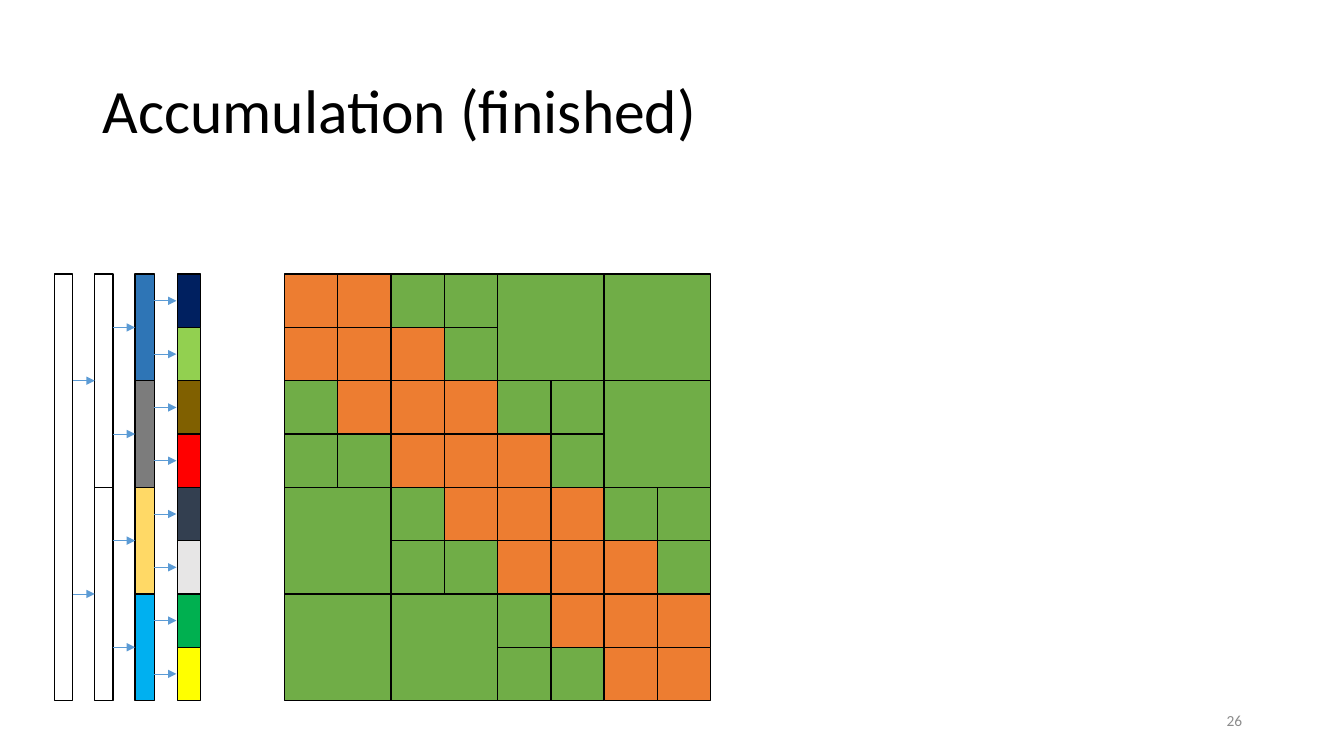
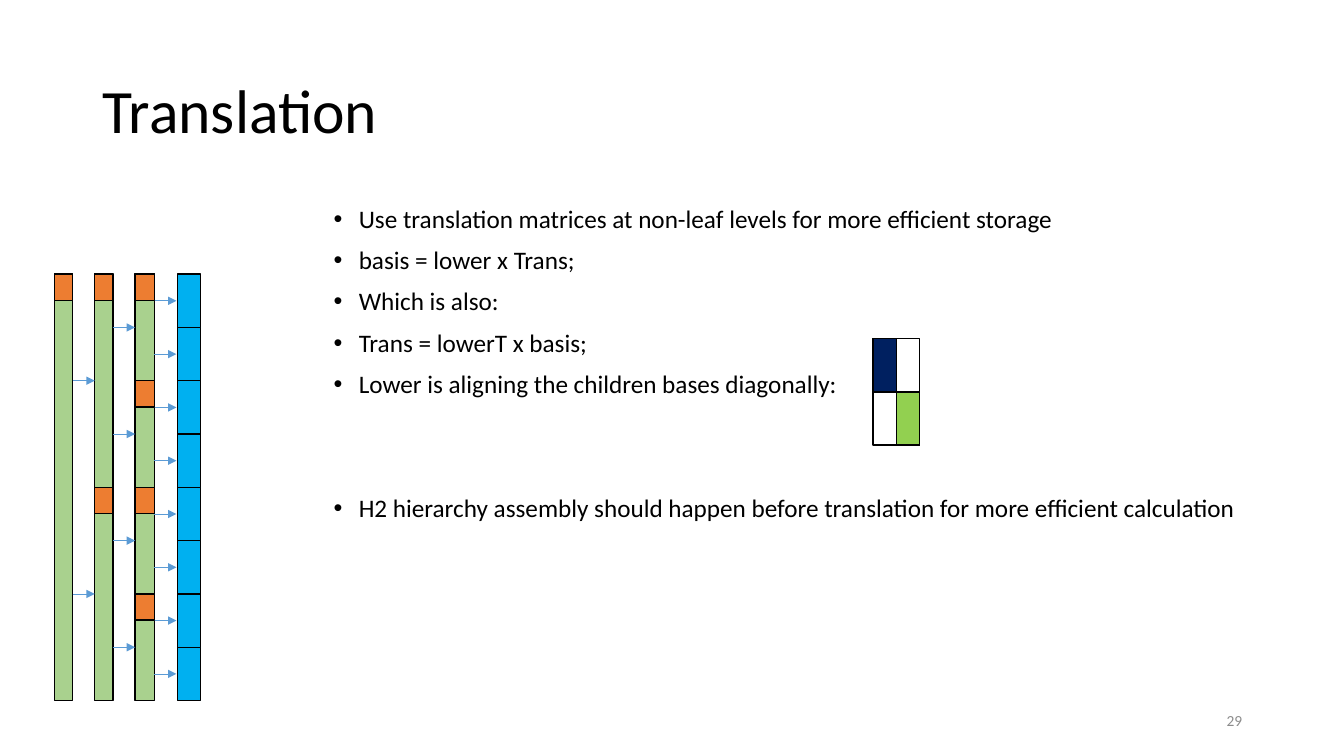
import dataclasses

import lxml.etree
import pptx
import pptx.dml.color
import pptx.enum.shapes
import pptx.enum.text
import pptx.oxml.ns
import pptx.util

Inches = pptx.util.Inches
Pt = pptx.util.Pt
qn = pptx.oxml.ns.qn
ALIGN = pptx.enum.text.PP_ALIGN
ANCHOR = pptx.enum.text.MSO_ANCHOR


@dataclasses.dataclass(frozen=True)
class Theme:
    """Colours and type sizes of the deck."""
    font: str = "Calibri"
    ink: str = "000000"
    muted: str = "8C8C8C"
    white: str = "FFFFFF"
    near: str = "ED7D31"
    far: str = "70AD47"
    basis: str = "A9D18E"
    leaf: str = "00B0F0"
    navy: str = "002060"
    lime: str = "92D050"
    arrow: str = "5B9BD5"
    title: int = 44
    body: int = 18
    foot: int = 11
    edge: float = 1
    thin: float = 0.5


THEME = Theme()

# Both the tree and the matrix span eight leaves of equal height.
TOP, SPAN, LEAVES = 2.72, 4.23, 8
CELL = SPAN / LEAVES
GRID_LEFT = 2.82
COLUMNS = [(0.54, 0.18), (0.94, 0.18), (1.34, 0.19), (1.76, 0.23)]
REACH = 0.22
CAP = 0.26

SPECTRUM = [
    [THEME.white],
    [THEME.white] * 2,
    ["2E75B6", "7C7C7C", "FFD966", THEME.leaf],
    [THEME.navy, THEME.lime, "806000", "FF0000",
     "333F50", "E7E6E6", "00B050", "FFFF00"],
]
SHARED = [[THEME.basis] * 2 ** level for level in range(3)]
SHARED.append([THEME.leaf] * LEAVES)

# Each bullet has its space before, in points; the last is set apart.
BULLETS = [
    ("Use translation matrices at non-leaf levels for more efficient storage", 10),
    ("basis = lower x Trans;", 10),
    ("Which is also:", 10),
    ("Trans = lowerT x basis;", 10),
    ("Lower is aligning the children bases diagonally:", 10),
    ("H2 hierarchy assembly should happen before translation"
     " for more efficient calculation", 69),
]


def rgb(code):
    """Turn a hex code into a colour."""
    return pptx.dml.color.RGBColor.from_string(code)


def frame(slide, left, top, width, height, anchor):
    """Add a wrapping text box and return its text frame."""
    box = slide.shapes.add_textbox(
        Inches(left), Inches(top), Inches(width), Inches(height))
    text = box.text_frame
    text.word_wrap = True
    text.vertical_anchor = anchor
    return text


def write(para, words, size, color=THEME.ink):
    """Add one styled run to a paragraph."""
    run = para.add_run()
    run.text = words
    run.font.name = THEME.font
    run.font.size = Pt(size)
    run.font.color.rgb = rgb(color)


def start(deck, title, number):
    """Add a slide with its title and page number."""
    slide = deck.slides.add_slide(deck.slide_layouts[6])
    head = frame(slide, 0.92, 0.4, 11.5, 1.45, ANCHOR.MIDDLE).paragraphs[0]
    head.line_spacing = 0.9
    write(head, title, THEME.title)
    foot = frame(slide, 9.42, 6.95, 3, 0.4, ANCHOR.MIDDLE).paragraphs[0]
    foot.alignment = ALIGN.RIGHT
    write(foot, number, THEME.foot, THEME.muted)
    return slide


def block(slide, left, top, width, height, fill=None):
    """Add an outlined rectangle, open if it has no fill."""
    shape = slide.shapes.add_shape(
        pptx.enum.shapes.MSO_SHAPE.RECTANGLE,
        Inches(left), Inches(top), Inches(width), Inches(height))
    shape.shadow.inherit = False
    if fill:
        shape.fill.solid()
        shape.fill.fore_color.rgb = rgb(fill)
    else:
        shape.fill.background()
    shape.line.color.rgb = rgb(THEME.ink)
    shape.line.width = Pt(THEME.edge)


def arrow(slide, left, top):
    """Add a short arrow that points right."""
    line = slide.shapes.add_connector(
        pptx.enum.shapes.MSO_CONNECTOR.STRAIGHT,
        Inches(left), Inches(top), Inches(left + REACH), Inches(top))
    line.line.color.rgb = rgb(THEME.arrow)
    line.line.width = Pt(THEME.thin)
    tail = lxml.etree.SubElement(line.line._get_or_add_ln(), qn("a:tailEnd"))
    tail.set("type", "triangle")
    lxml.etree.SubElement(line._element.spPr, qn("a:effectLst"))


def tree(slide, levels):
    """Draw the basis tree, one column a level, with arrows to each child."""
    for level, ((left, width), fills) in enumerate(zip(COLUMNS, levels)):
        height = SPAN / len(fills)
        for row, fill in enumerate(fills):
            top = TOP + row * height
            block(slide, left, top, width, height, fill)
            if level:
                before, wide = COLUMNS[level - 1]
                arrow(slide, before + wide, top + height / 2)


def caps(slide):
    """Mark the translation matrix on top of each non-leaf basis."""
    for level, (left, width) in enumerate(COLUMNS[:-1]):
        count = 2 ** level
        for row in range(count):
            block(slide, left, TOP + row * SPAN / count, width, CAP, THEME.near)


def matrix(slide, row=0, col=0, size=LEAVES):
    """Split blocks near the diagonal; draw the far ones and the leaves."""
    near = abs(row - col) <= size
    if near and size > 1:
        half = size // 2
        for down in (0, half):
            for over in (0, half):
                matrix(slide, row + down, col + over, half)
        return
    block(slide, GRID_LEFT + col * CELL, TOP + row * CELL,
          size * CELL, size * CELL, THEME.near if near else THEME.far)


def bullets(slide, items):
    """Write the bulleted list."""
    text = frame(slide, 3.21, 2, 9.21, 4.76, ANCHOR.TOP)
    for index, (words, space) in enumerate(items):
        para = text.add_paragraph() if index else text.paragraphs[0]
        para.line_spacing = 0.9
        para.space_before = Pt(space)
        props = para._p.get_or_add_pPr()
        props.set("marL", str(Inches(0.25)))
        props.set("indent", str(Inches(-0.25)))
        font = lxml.etree.SubElement(props, qn("a:buFont"))
        font.set("typeface", "Arial")
        mark = lxml.etree.SubElement(props, qn("a:buChar"))
        mark.set("char", "\u2022")
        write(para, words, THEME.body)


def lower(slide):
    """Draw two child bases on the diagonal of an open frame."""
    left, top, width = 8.66, 3.36, COLUMNS[-1][1]
    for step, fill in enumerate((THEME.navy, THEME.lime)):
        block(slide, left + step * width, top + step * CELL, width, CELL, fill)
    block(slide, left, top, 2 * width, 2 * CELL)


def main():
    """Build and save the deck."""
    deck = pptx.Presentation()
    deck.slide_width, deck.slide_height = Inches(13.33), Inches(7.5)

    slide = start(deck, "Accumulation (finished)", "26")
    matrix(slide)
    tree(slide, SPECTRUM)

    slide = start(deck, "Translation", "29")
    bullets(slide, BULLETS)
    lower(slide)
    tree(slide, SHARED)
    caps(slide)

    deck.save("out.pptx")


main()
